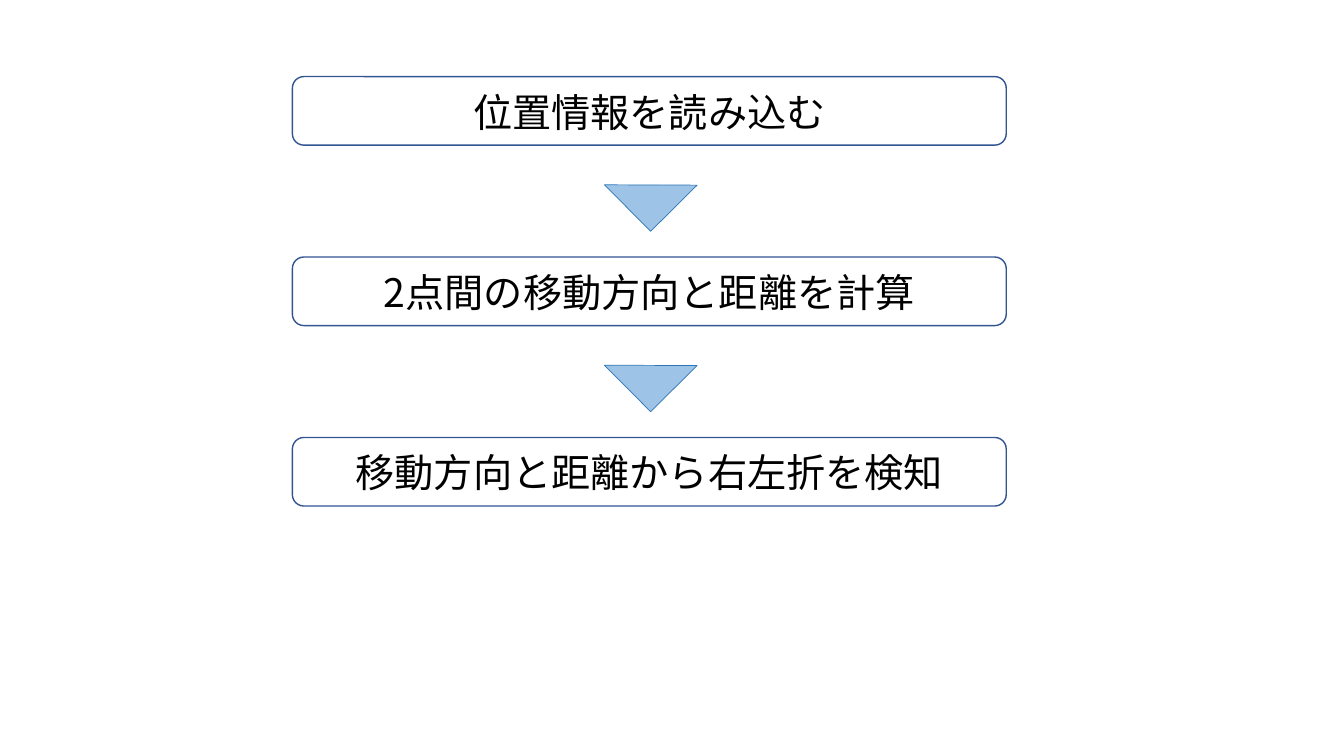
from lxml import etree
from pptx import Presentation
from pptx.dml.color import RGBColor
from pptx.enum.shapes import MSO_SHAPE
from pptx.enum.text import MSO_ANCHOR, MSO_AUTO_SIZE, PP_ALIGN
from pptx.oxml.ns import qn
from pptx.util import Inches, Pt

ROUND = MSO_SHAPE.ROUNDED_RECTANGLE
WEDGE = MSO_SHAPE.RIGHT_TRIANGLE
MIDDLE = MSO_ANCHOR.MIDDLE
GROW = MSO_AUTO_SIZE.SHAPE_TO_FIT_TEXT
CENTER = PP_ALIGN.CENTER


def color(code):
    return RGBColor.from_string(code)


def apply(item, values):
    for name, value in values.items():
        setattr(item, name, value)


class Flow:
    """Draws the steps of a flow chart and the arrows between them."""

    face = "Noto Sans CJK JP"
    font = {"name": face, "size": Pt(28)}
    frame = {"word_wrap": True, "auto_size": GROW, "vertical_anchor": MIDDLE}

    def __init__(self, slide):
        self.slide = slide

    def shape(self, shapes, kind, box, line, width, fill=None):
        item = shapes.add_shape(kind, *map(Inches, box))
        item.shadow.inherit = False
        if fill:
            item.fill.solid()
            item.fill.fore_color.rgb = color(fill)
        else:
            item.fill.background()
        item.line.color.rgb = color(line)
        item.line.width = Pt(width)
        return item

    def label(self, shapes, box, text):
        frame = shapes.add_textbox(*map(Inches, box)).text_frame
        apply(frame, self.frame)
        para = frame.paragraphs[0]
        para.alignment = CENTER
        run = para.add_run()
        run.text = text
        apply(run.font, self.font)
        run.font.color.rgb = color("000000")
        props = run.font._element
        etree.SubElement(props, qn("a:ea")).set("typeface", self.face)

    def step(self, top, text):
        shapes = self.slide.shapes.add_group_shape().shapes
        self.shape(shapes, ROUND, (2.9, top, 7.08, 0.68), "325491", 1)
        self.label(shapes, (3.22, top + 0.06, 6.44, 0.57), text)

    def arrow(self, top):
        box = (6.13, top, 0.65, 0.65)
        item = self.shape(self.slide.shapes, WEDGE, box, "2E75B6", 0.5, "9DC3E6")
        item.rotation = 315.2


deck = Presentation()
apply(deck, {"slide_width": Inches(13.33), "slide_height": Inches(7.5)})
flow = Flow(deck.slides.add_slide(deck.slide_layouts[6]))

STEPS = ["位置情報を読み込む", "2点間の移動方向と距離を計算", "移動方向と距離から右左折を検知"]
START, PITCH, DROP = 0.76, 1.79, 0.75
for row, text in enumerate(STEPS):
    top = START + row * PITCH
    flow.step(top, text)
    if row < len(STEPS) - 1:
        flow.arrow(top + DROP)

deck.save("out.pptx")
